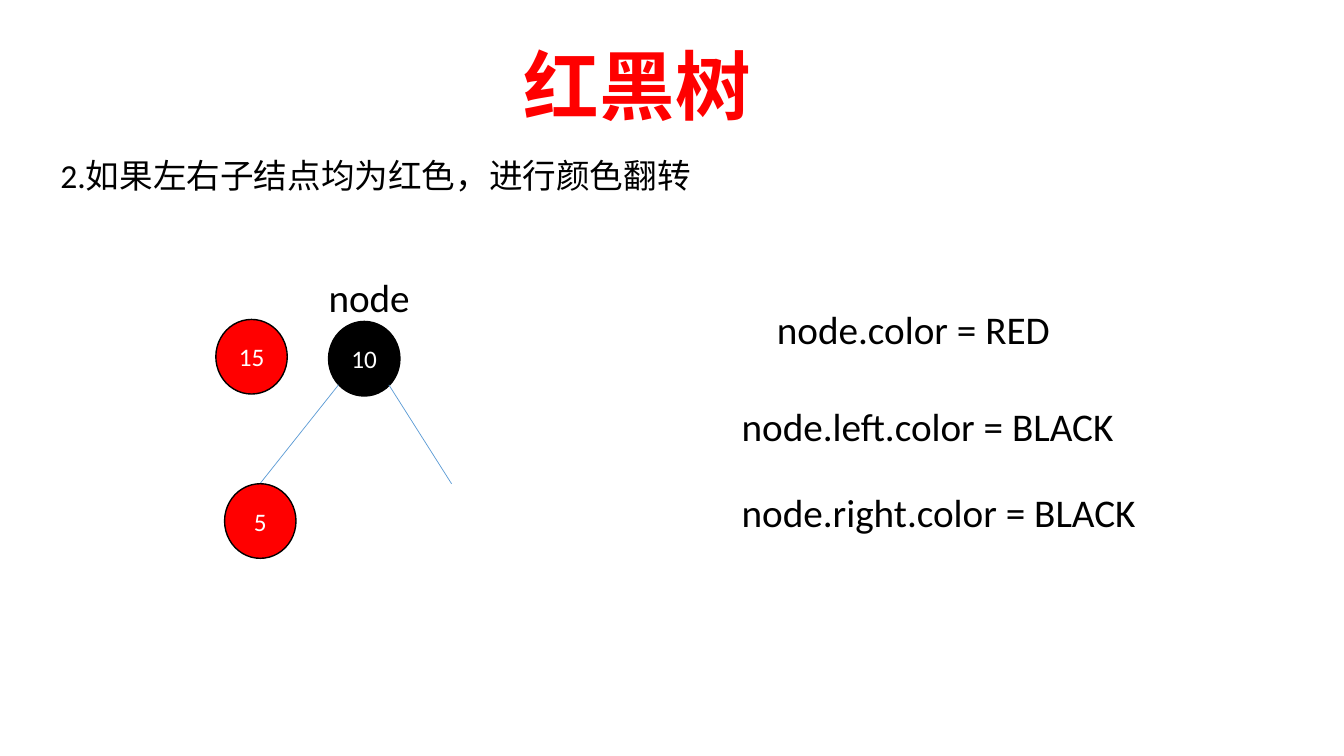
import pptx
import pptx.util
import pptx.dml.color
import pptx.enum.shapes
import pptx.enum.text
import lxml.etree
from pptx.util import Cm

FONT = "Calibri"
RED, BLACK, WHITE, BLUE = "FF0000", "000000", "FFFFFF", "5B9BD5"


def color(code):
    return pptx.dml.color.RGBColor.from_string(code)


def write(shape, text, size, code=BLACK, bold=False, center=False):
    frame = shape.text_frame
    frame.text = text
    frame.word_wrap = True
    frame.auto_size = pptx.enum.text.MSO_AUTO_SIZE.NONE
    anchor = pptx.enum.text.MSO_ANCHOR
    frame.vertical_anchor = anchor.MIDDLE if center else anchor.TOP
    para = frame.paragraphs[0]
    align = pptx.enum.text.PP_ALIGN
    para.alignment = align.CENTER if center else align.LEFT
    para.space_before = pptx.util.Pt(0)
    para.line_spacing = 1.0
    para.font.name = FONT
    para.font.size = pptx.util.Pt(size)
    para.font.bold = bold
    para.font.color.rgb = color(code)
    return para


def move(shape, x, y, w, h):
    shape.left, shape.top = Cm(x), Cm(y)
    shape.width, shape.height = Cm(w), Cm(h)


def label(slide, text, x, y, w):
    box = slide.shapes.add_textbox(Cm(x), Cm(y), Cm(w), Cm(1.45))
    write(box, text, 28)


def circle(slide, text, x, y, fill):
    oval = slide.shapes.add_shape(
        pptx.enum.shapes.MSO_SHAPE.OVAL, Cm(x), Cm(y), Cm(1.8), Cm(1.88))
    oval.shadow.inherit = False
    oval.fill.solid()
    oval.fill.fore_color.rgb = color(fill)
    oval.line.color.rgb = color(BLACK)
    oval.line.width = pptx.util.Pt(1)
    write(oval, text, 18, WHITE, center=True)


def branch(slide, x1, y1, x2, y2):
    line = slide.shapes.add_connector(
        pptx.enum.shapes.MSO_CONNECTOR.STRAIGHT,
        Cm(x1), Cm(y1), Cm(x2), Cm(y2))
    line.line.color.rgb = color(BLUE)
    line.line.width = pptx.util.Pt(0.5)
    # An empty effect list turns the shadow off
    lxml.etree.SubElement(line._element.spPr, pptx.oxml.ns.qn("a:effectLst"))


def main():
    deck = pptx.Presentation()
    deck.slide_width, deck.slide_height = Cm(33.87), Cm(19.05)
    slide = deck.slides.add_slide(deck.slide_layouts[1])

    # Title and rule
    title, body = slide.placeholders
    move(title, 12.95, 0.86, 18.67, 2.57)
    write(title, "红黑树", 54, RED, bold=True)
    move(body, 1.27, 3.78, 28.17, 2.06)
    para = write(body, "2.如果左右子结点均为红色，进行颜色翻转", 24)
    props = para._p.get_or_add_pPr()
    props.set("marL", "0")
    props.set("indent", "0")
    none = lxml.etree.Element(pptx.oxml.ns.qn("a:buNone"))
    props.find(pptx.oxml.ns.qn("a:defRPr")).addprevious(none)

    # Tree
    circle(slide, "15", 5.44, 8.05, RED)
    circle(slide, "10", 8.28, 8.1, BLACK)
    branch(slide, 9.8, 9.7, 11.38, 12.19)
    branch(slide, 8.53, 9.7, 6.55, 12.19)
    circle(slide, "5", 5.66, 12.19, RED)
    label(slide, "node", 8.03, 6.76, 3.63)

    # Colour changes
    label(slide, "node.color = RED", 19.33, 7.57, 8.43)
    label(slide, "node.left.color = BLACK", 18.44, 10.01, 10.26)
    label(slide, "node.right.color = BLACK", 18.44, 12.19, 11.86)

    deck.save("out.pptx")


if __name__ == "__main__":
    main()
